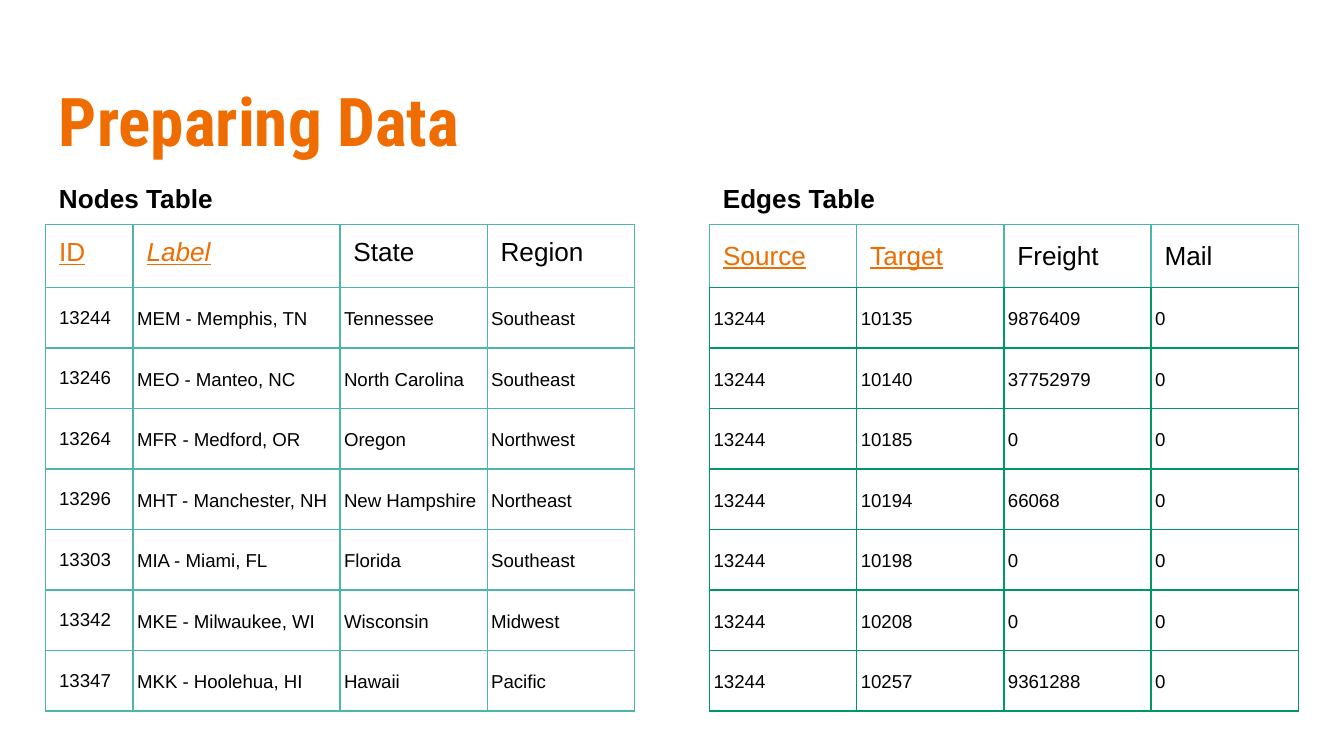
from dataclasses import dataclass

from lxml import etree
from pptx import Presentation
from pptx.dml.color import RGBColor
from pptx.enum.text import MSO_ANCHOR
from pptx.oxml.ns import qn
from pptx.slide import Slide
from pptx.table import _Cell
from pptx.util import Inches, Pt

TOP, MIDDLE = MSO_ANCHOR.TOP, MSO_ANCHOR.MIDDLE
ORANGE = RGBColor(0xEF, 0x6C, 0x00)
BLACK = RGBColor(0x00, 0x00, 0x00)
TEAL = RGBColor(0x4D, 0xB6, 0xAC)
GREEN = RGBColor(0x00, 0x96, 0x68)
BODY_FONT, TITLE_FONT = "Arial", "Roboto Condensed"

SLIDE_WIDTH = 10
SLIDE_HEIGHT = SLIDE_WIDTH * 9 / 16
TABLE_TOP, HEADER_HEIGHT, ROW_HEIGHT = 1.67, 0.47, 0.45
TABLE_WIDTH = 4.38
QUARTER = TABLE_WIDTH / 4
CAPTION_TOP, CAPTION_HEIGHT = 1.26, 0.41
WIDE_INSETS, TIGHT_INSETS = (0.1, 0.1), (0.03, 0.02)


@dataclass(frozen=True)
class TextStyle:
    size: float
    color: RGBColor = BLACK
    font: str = BODY_FONT
    bold: bool = False
    italic: bool = False
    underline: bool = False


@dataclass(frozen=True)
class Heading:
    text: str
    required: bool = False
    italic: bool = False


@dataclass(frozen=True)
class DataTable:
    caption: str
    left: float
    column_widths: tuple[float, ...]
    headings: tuple[Heading, ...]
    rows: tuple[tuple[str, ...], ...]
    border: RGBColor
    header_anchor: MSO_ANCHOR
    wide_columns: int


NODES = DataTable(
    "Nodes Table", 0.34, (0.65, 1.54, QUARTER, QUARTER),
    (Heading("ID", True), Heading("Label", True, True), Heading("State"), Heading("Region")),
    (
        ("13244", "MEM - Memphis, TN", "Tennessee", "Southeast"),
        ("13246", "MEO - Manteo, NC", "North Carolina", "Southeast"),
        ("13264", "MFR - Medford, OR", "Oregon", "Northwest"),
        ("13296", "MHT - Manchester, NH", "New Hampshire", "Northeast"),
        ("13303", "MIA - Miami, FL", "Florida", "Southeast"),
        ("13342", "MKE - Milwaukee, WI", "Wisconsin", "Midwest"),
        ("13347", "MKK - Hoolehua, HI", "Hawaii", "Pacific"),
    ),
    TEAL, TOP, 1,
)
EDGES = DataTable(
    "Edges Table", 5.28, (QUARTER,) * 4,
    (Heading("Source", True), Heading("Target", True), Heading("Freight"), Heading("Mail")),
    (
        ("13244", "10135", "9876409", "0"),
        ("13244", "10140", "37752979", "0"),
        ("13244", "10185", "0", "0"),
        ("13244", "10194", "66068", "0"),
        ("13244", "10198", "0", "0"),
        ("13244", "10208", "0", "0"),
        ("13244", "10257", "9361288", "0"),
    ),
    GREEN, MIDDLE, 0,
)


def style_text(paragraph, style: TextStyle) -> None:
    """Format every run of a paragraph."""
    for run in paragraph.runs:
        font = run.font
        font.name, font.size = style.font, Pt(style.size)
        font.bold, font.italic, font.underline = style.bold, style.italic, style.underline
        font.color.rgb = style.color


def add_label(slide: Slide, text: str, left: float, top: float,
              width: float, height: float, style: TextStyle) -> None:
    """Add a wrapped text box with even insets."""
    label = slide.shapes.add_textbox(Inches(left), Inches(top), Inches(width), Inches(height))
    frame = label.text_frame
    frame.word_wrap = True
    frame.margin_left = frame.margin_right = Inches(0.1)
    frame.margin_top = frame.margin_bottom = Inches(0.1)
    frame.text = text
    style_text(frame.paragraphs[0], style)


def set_borders(cell: _Cell, sides: RGBColor, bottom: RGBColor) -> None:
    """Draw the four borders of a cell."""
    properties = cell._tc.get_or_add_tcPr()
    for edge, color in (("lnL", sides), ("lnR", sides), ("lnT", sides), ("lnB", bottom)):
        line = etree.SubElement(properties, qn(f"a:{edge}"), w=str(Pt(0.75)))
        fill = etree.SubElement(line, qn("a:solidFill"))
        etree.SubElement(fill, qn("a:srgbClr"), val=str(color))


def fill_cell(cell: _Cell, text: str, style: TextStyle, anchor: MSO_ANCHOR,
              insets: tuple[float, float]) -> None:
    """Write and format the text of a cell."""
    cell.fill.background()
    cell.vertical_anchor = anchor
    cell.margin_left = cell.margin_right = Inches(insets[0])
    cell.margin_top = cell.margin_bottom = Inches(insets[1])
    cell.text = text
    paragraph = cell.text_frame.paragraphs[0]
    if insets == TIGHT_INSETS:
        paragraph.line_spacing = 1.15
    style_text(paragraph, style)


def add_data_table(slide: Slide, data: DataTable) -> None:
    """Add a captioned table with its headings and rows."""
    add_label(slide, data.caption, data.left, CAPTION_TOP, TABLE_WIDTH, CAPTION_HEIGHT,
              TextStyle(14, bold=True))
    height = HEADER_HEIGHT + ROW_HEIGHT * len(data.rows)
    table = slide.shapes.add_table(
        len(data.rows) + 1, len(data.headings), Inches(data.left), Inches(TABLE_TOP),
        Inches(TABLE_WIDTH), Inches(height)).table
    table.first_row = table.horz_banding = False
    for column, width in zip(table.columns, data.column_widths):
        column.width = Inches(width)
    for index, row in enumerate(table.rows):
        row.height = Inches(ROW_HEIGHT if index else HEADER_HEIGHT)
    for column, heading in enumerate(data.headings):
        cell = table.cell(0, column)
        set_borders(cell, TEAL, data.border)
        style = TextStyle(14, ORANGE if heading.required else BLACK,
                          italic=heading.italic, underline=heading.required)
        fill_cell(cell, heading.text, style, data.header_anchor, WIDE_INSETS)
    for row, values in enumerate(data.rows, start=1):
        for column, value in enumerate(values):
            cell = table.cell(row, column)
            set_borders(cell, data.border, data.border)
            insets = WIDE_INSETS if column < data.wide_columns else TIGHT_INSETS
            fill_cell(cell, value, TextStyle(10), MIDDLE, insets)


def main() -> None:
    """Build the slide and save it."""
    presentation = Presentation()
    presentation.slide_width = Inches(SLIDE_WIDTH)
    presentation.slide_height = Inches(SLIDE_HEIGHT)
    slide = presentation.slides.add_slide(presentation.slide_layouts[6])
    add_label(slide, "Preparing Data", 0.34, 0.49, 9.32, 0.77,
              TextStyle(36, ORANGE, TITLE_FONT, bold=True))
    for data in (NODES, EDGES):
        add_data_table(slide, data)
    presentation.save("out.pptx")


if __name__ == "__main__":
    main()
